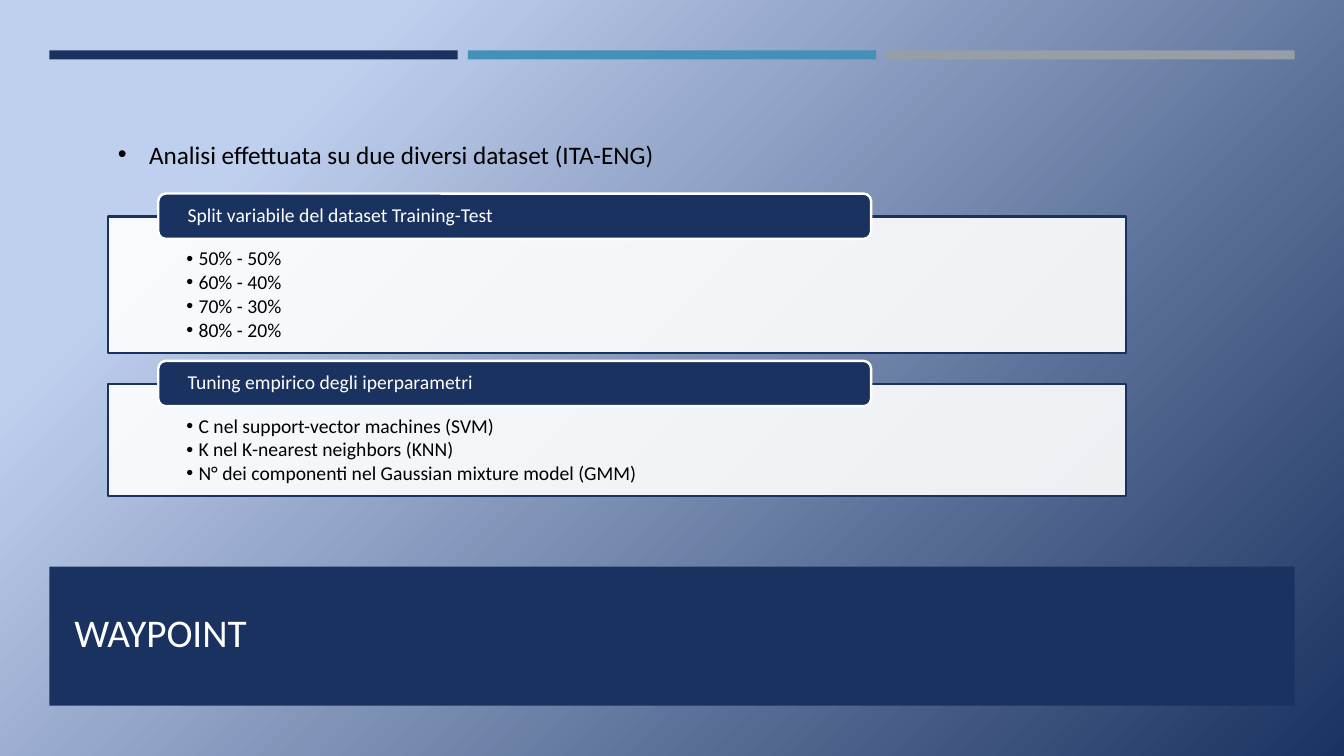
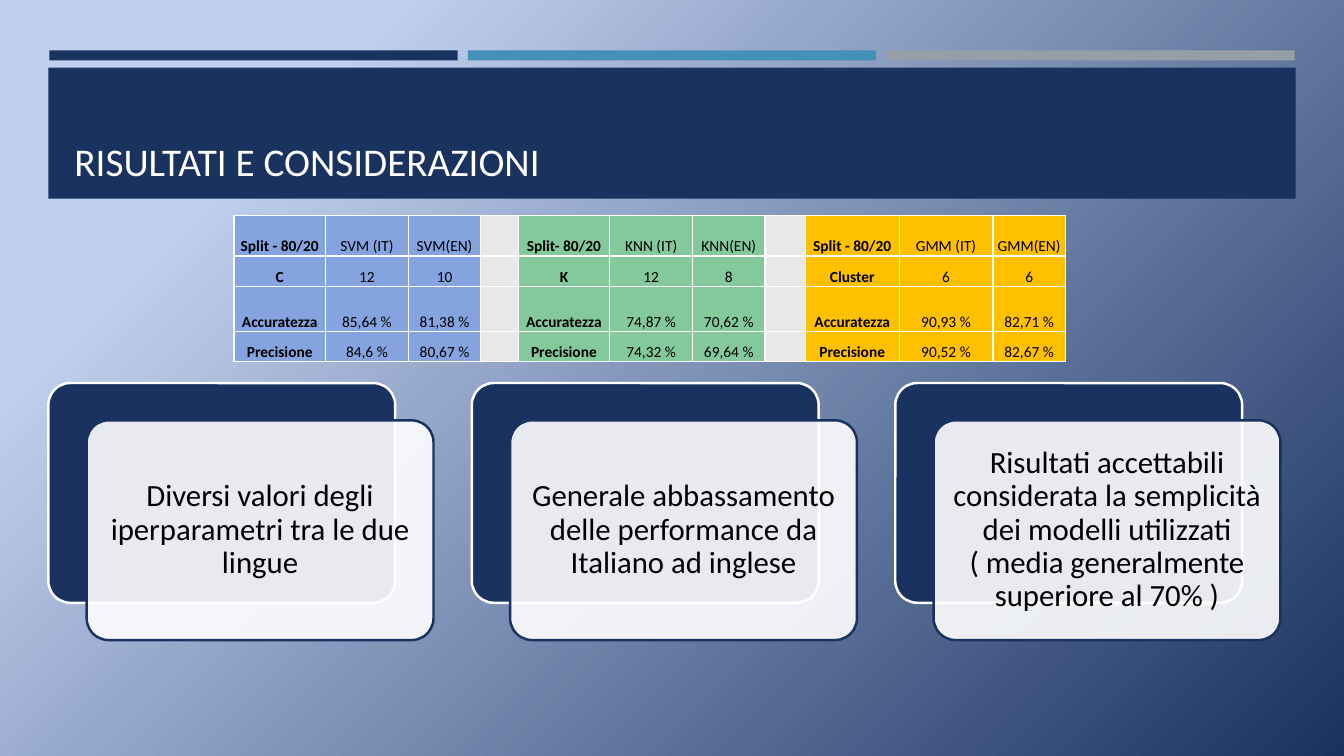
from lxml.etree import SubElement
from pptx import Presentation
from pptx.dml.color import RGBColor
from pptx.enum.shapes import MSO_SHAPE
from pptx.enum.text import MSO_ANCHOR, PP_ALIGN
from pptx.oxml.ns import qn
from pptx.util import Inches, Pt

RECTANGLE, ROUNDED = MSO_SHAPE.RECTANGLE, MSO_SHAPE.ROUNDED_RECTANGLE
TOP, MIDDLE, BOTTOM = MSO_ANCHOR.TOP, MSO_ANCHOR.MIDDLE, MSO_ANCHOR.BOTTOM
LEFT, CENTER = PP_ALIGN.LEFT, PP_ALIGN.CENTER

FONT = "Calibri"
COLORS = {
    "navy": "1A3260", "teal": "4590B8", "gray": "969FA7", "sky": "BFCFEE",
    "white": "FFFFFF", "black": "000000", "spacer": "E8E8EA",
    "blue": "85A3DE", "green": "84C99C", "amber": "FFC000",
}
BAR_COLORS = ["navy", "teal", "gray"]

INTRO = "Analisi effettuata su due diversi dataset (ITA-ENG)"
PANELS = [
    {"label": "Split variabile del dataset Training-Test", "top": 2.15, "height": 1.35,
     "items": ["50% - 50%", "60% - 40%", "70% - 30%", "80% - 20%"]},
    {"label": "Tuning empirico degli iperparametri", "top": 3.81, "height": 1.11,
     "items": ["C nel support-vector machines (SVM)",
               "K nel K-nearest neighbors (KNN)",
               "N° dei componenti nel Gaussian mixture model (GMM)"]},
]

RESULTS = [
    ["Split - 80/20", "SVM (IT)", "SVM(EN)", "", "Split- 80/20", "KNN (IT)", "KNN(EN)", "",
     "Split - 80/20", "GMM (IT)", "GMM(EN)"],
    ["C", "12", "10", "", "K", "12", "8", "", "Cluster", "6", "6"],
    ["Accuratezza", "85,64 %", "81,38 %", "", "Accuratezza", "74,87 %", "70,62 %", "",
     "Accuratezza", "90,93 %", "82,71 %"],
    ["Precisione", "84,6 %", "80,67 %", "", "Precisione", "74,32 %", "69,64 %", "",
     "Precisione", "90,52 %", "82,67 %"],
]
COLUMN_WIDTHS = [0.91, 0.82, 0.72, 0.37, 0.91, 0.82, 0.72, 0.4, 0.93, 0.93, 0.72]
ROW_HEIGHTS = [0.4, 0.3, 0.45, 0.3]
COLUMN_COLORS = (["blue"] * 3 + ["spacer"] + ["green"] * 3 + ["spacer"] + ["amber"] * 3)
HEADING_COLUMNS = (0, 4, 8)

REMARKS = [
    "Diversi valori degli iperparametri tra le due lingue",
    "Generale abbassamento delle performance da Italiano ad inglese",
    "Risultati accettabili considerata la semplicità dei modelli utilizzati\n"
    "( media generalmente superiore al 70% )",
]


def color(name):
    return RGBColor.from_string(COLORS[name])


def write(frame, lines, size, ink="black", bold=False, align=LEFT, anchor=TOP,
          insets=(0.1, 0.05, 0.1, 0.05), indent=0, spacing=1.0, after=0):
    frame.word_wrap = True
    frame.vertical_anchor = anchor
    (frame.margin_left, frame.margin_top,
     frame.margin_right, frame.margin_bottom) = map(Inches, insets)
    for index, line in enumerate(lines):
        para = frame.add_paragraph() if index else frame.paragraphs[0]
        para.text = line
        para.alignment = align
        para.line_spacing = spacing
        para.space_after = Pt(after)
        if indent:
            properties = para._p.get_or_add_pPr()
            properties.set("marL", str(Inches(indent)))
            properties.set("indent", str(-Inches(indent)))
            SubElement(properties, qn("a:buFont"), typeface="Arial")
            SubElement(properties, qn("a:buChar"), char="•")
        for span in para.runs:
            span.font.name = FONT
            span.font.size = Pt(size)
            span.font.bold = bold
            span.font.color.rgb = color(ink)


def add_block(page, kind, left, top, width, height, fill, line=None, opacity=100, corner=None):
    block = page.shapes.add_shape(kind, *map(Inches, (left, top, width, height)))
    block.shadow.inherit = False
    block.fill.solid()
    block.fill.fore_color.rgb = color(fill)
    if opacity < 100:
        fill_color = block._element.spPr.find(qn("a:solidFill")).find(qn("a:srgbClr"))
        SubElement(fill_color, qn("a:alpha"), val=str(opacity * 1000))
    if line:
        block.line.color.rgb = color(line)
        block.line.width = Pt(1.75)
    else:
        block.line.fill.background()
    if corner is not None:
        block.adjustments[0] = corner
    return block


def add_text(page, left, top, width, height, text, **style):
    box = page.shapes.add_textbox(*map(Inches, (left, top, width, height)))
    write(box.text_frame, [text], **style)


def add_page(deck, title, bar_height, band, title_area):
    page = deck.slides.add_slide(deck.slide_layouts[6])
    for index, name in enumerate(BAR_COLORS):
        add_block(page, RECTANGLE, 0.49 + index * 4.15, 0.5, 4.05, bar_height, name)
    add_block(page, RECTANGLE, *band, "navy")
    add_text(page, *title_area, title, size=28, ink="white", anchor=BOTTOM)
    return page


def add_panel(page, label, top, height, items):
    body = add_block(page, RECTANGLE, 1.07, top, 10.1, height, "white", "navy", opacity=90)
    write(body.text_frame, items, size=14, insets=(0.78, 0.32, 0.78, 0.11),
          indent=0.12, spacing=0.9, after=1.8)
    tab = add_block(page, ROUNDED, 1.57, top - 0.23, 7.07, 0.45, "navy", "white")
    write(tab.text_frame, [label], size=14, ink="white", anchor=MIDDLE,
          insets=(0.27, 0, 0.27, 0), spacing=0.9)


def add_card(page, left, text):
    size = (3.44, 2.18)
    add_block(page, ROUNDED, left, 3.8, *size, "navy", "white", corner=0.1)
    front = add_block(page, ROUNDED, left + 0.38, 4.17, *size, "white", "navy",
                      opacity=90, corner=0.1)
    write(front.text_frame, [text], size=22, align=CENTER, anchor=MIDDLE,
          insets=(0.09,) * 4, spacing=0.9)


def add_borders(cell):
    properties = cell._tc.get_or_add_tcPr()
    for index, side in enumerate(("a:lnL", "a:lnR", "a:lnT", "a:lnB")):
        border = SubElement(properties, qn(side), w=str(Pt(1)))
        fill = SubElement(border, qn("a:solidFill"))
        SubElement(fill, qn("a:srgbClr"), val=COLORS["white"])
        properties.insert(index, border)


def add_results(page, left, top):
    frame = page.shapes.add_table(
        len(ROW_HEIGHTS), len(COLUMN_WIDTHS), Inches(left), Inches(top),
        Inches(sum(COLUMN_WIDTHS)), Inches(sum(ROW_HEIGHTS)))
    table = frame.table
    table.first_row = table.horz_banding = False
    for column, width in zip(table.columns, COLUMN_WIDTHS):
        column.width = Inches(width)
    for row, height, values in zip(table.rows, ROW_HEIGHTS, RESULTS):
        row.height = Inches(height)
        for index, (cell, value) in enumerate(zip(row.cells, values)):
            write_cell(cell, value, COLUMN_COLORS[index], index in HEADING_COLUMNS)


def write_cell(cell, value, fill, bold):
    cell.fill.solid()
    cell.fill.fore_color.rgb = color(fill)
    add_borders(cell)
    write(cell.text_frame, [value], size=11, bold=bold, align=CENTER)
    cell.vertical_anchor = BOTTOM
    cell.margin_left = cell.margin_right = cell.margin_top = Inches(0.01)
    cell.margin_bottom = 0
    if not value:
        SubElement(cell.text_frame.paragraphs[0]._p, qn("a:endParaRPr"), sz="1100")


def set_background(deck):
    fill = deck.slide_master.background.fill
    fill.gradient()
    fill.gradient_angle = 315
    for stop, name, position in zip(fill.gradient_stops, ("sky", "navy"), (0.19, 1)):
        stop.color.rgb = color(name)
        stop.position = position


def main():
    deck = Presentation()
    deck.slide_width, deck.slide_height = Inches(13.33), Inches(7.5)
    set_background(deck)

    waypoint = add_page(deck, "WAYPOINT", 0.09, (0.49, 5.62, 12.35, 1.38),
                        (0.64, 5.76, 12.06, 0.79))
    add_text(waypoint, 1.07, 1.33, 11.54, 0.4, INTRO, size=18, indent=0.31)
    for panel in PANELS:
        add_panel(waypoint, **panel)

    results = add_page(deck, "RISULTATI E CONSIDERAZIONI", 0.1, (0.48, 0.67, 12.37, 1.3),
                       (0.64, 0.77, 12.06, 1.11))
    for index, remark in enumerate(REMARKS):
        add_card(results, 0.48 + index * 4.2, remark)
    add_results(results, 2.32, 2.14)

    deck.save("out.pptx")


if __name__ == "__main__":
    main()
